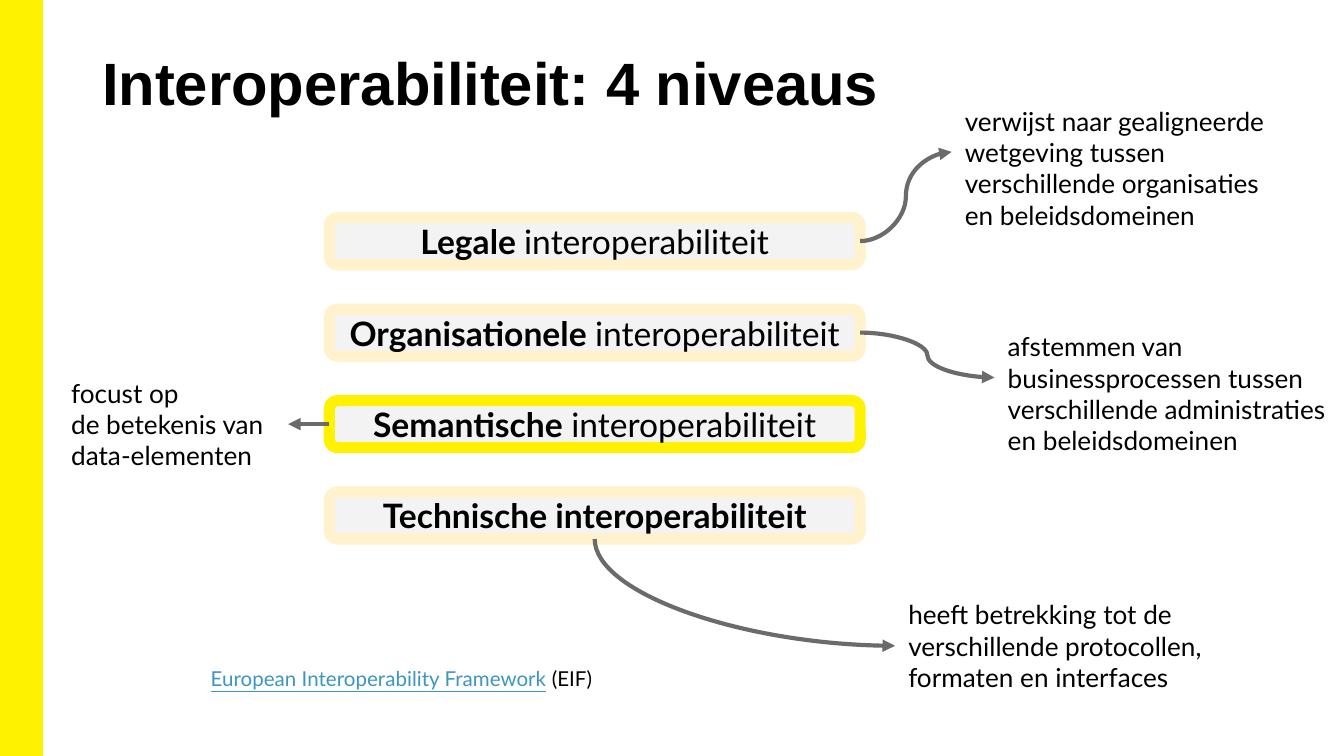
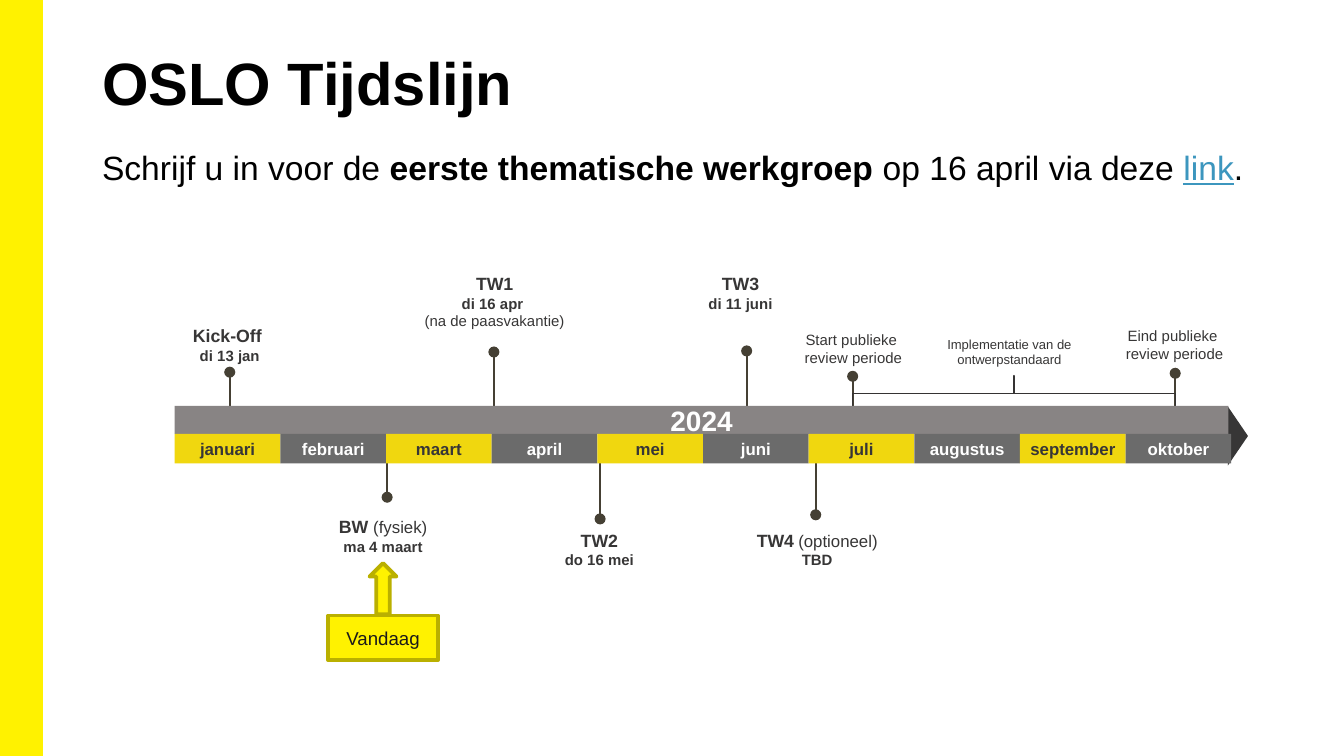
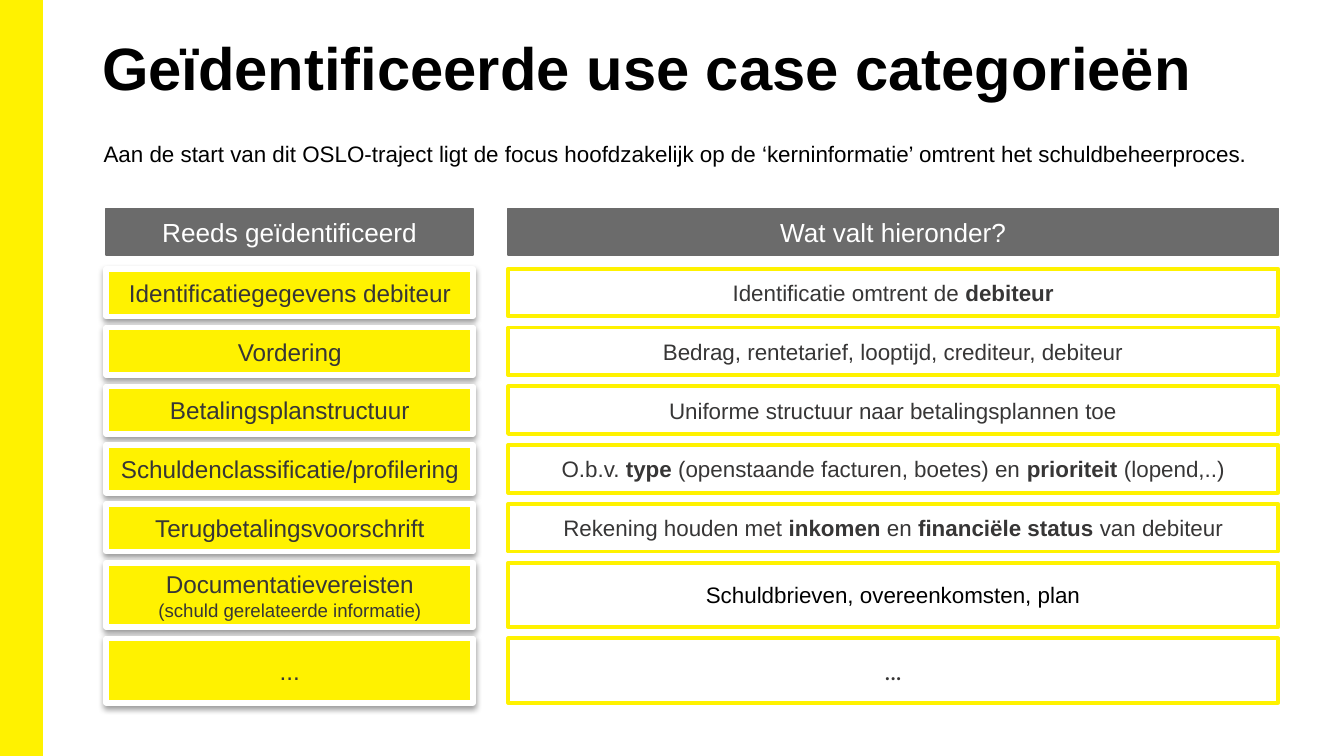
from dataclasses import dataclass, replace
from typing import NamedTuple, Optional, Sequence, Union

from lxml import etree
from pptx import Presentation
from pptx.dml.color import RGBColor
from pptx.enum import shapes, text
from pptx.oxml import ns
from pptx.util import Pt

Kind = shapes.MSO_SHAPE


@dataclass(frozen=True)
class Theme:
    yellow: str = "FFF200"
    cream: str = "FFF2CC"
    gold: str = "F0D70F"
    olive: str = "BAB000"
    pale: str = "F3F3F3"
    gray: str = "6B6B6B"
    year_gray: str = "888484"
    pin: str = "454034"
    brace: str = "353333"
    dark: str = "373636"
    today: str = "1B1A1A"
    black: str = "000000"
    white: str = "FFFFFF"
    link: str = "3C96BE"
    sans: str = "Arial"
    humanist: str = "Lato"
    title_size: float = 32
    lead_size: float = 18
    year_size: float = 15
    heading_size: float = 14
    category_size: float = 13
    body_size: float = 12
    source_size: float = 11
    small_size: float = 10
    event_size: float = 9.5
    month_size: float = 9
    date_size: float = 8
    remark_size: float = 7


THEME = Theme()


class Box(NamedTuple):
    left: float
    top: float
    width: float
    height: float


class Run(NamedTuple):
    """A stretch of text; None keeps the paragraph's value."""
    text: str
    bold: Optional[bool] = None
    size: Optional[float] = None
    color: Optional[str] = None
    underline: Optional[bool] = None
    font: Optional[str] = None


Line = Sequence[Union[str, Run]]


@dataclass(frozen=True)
class Style:
    size: float
    font: str = THEME.sans
    color: str = THEME.black
    bold: bool = False
    centered: bool = False
    middle: bool = False
    insets: tuple = (7.2, 7.2, 7.2, 7.2)
    line_spacing: Optional[float] = None


TITLE = Style(THEME.title_size, bold=True, insets=(5, 3, 5, 3))
LEAD = Style(THEME.lead_size, insets=(5, 3, 5, 3))
INTRO = Style(THEME.body_size, insets=(6.5, 3, 6.5, 3), line_spacing=1.05)
LEVEL = Style(THEME.lead_size, THEME.humanist, centered=True, middle=True)
NOTE = Style(THEME.heading_size, THEME.humanist)
SOURCE = Style(THEME.source_size, THEME.humanist)
EVENT = Style(THEME.date_size, color=THEME.dark, centered=True, insets=(0, 0, 0, 0))
MONTH = Style(THEME.month_size, color=THEME.dark, bold=True, centered=True, middle=True,
              insets=(2, 2, 2, 2))
YEAR = Style(THEME.year_size, color=THEME.white, bold=True, centered=True, middle=True,
             insets=(7.2, 3.6, 7.2, 3.6))
TODAY = replace(YEAR, size=THEME.small_size, color=THEME.today, bold=False)
HEADING = Style(THEME.heading_size, color=THEME.white, centered=True, middle=True)
CATEGORY = replace(HEADING, size=THEME.category_size, color=THEME.dark)
DETAIL = replace(CATEGORY, size=THEME.body_size)


def rgb(color: str) -> RGBColor:
    return RGBColor.from_string(color)


def points(values: Sequence[float]) -> list:
    return [Pt(value) for value in values]


def write(shape, lines: Sequence[Line], style: Style) -> None:
    frame = shape.text_frame
    frame.word_wrap = True
    frame.margin_left, frame.margin_top, frame.margin_right, frame.margin_bottom = points(style.insets)
    frame.vertical_anchor = text.MSO_ANCHOR.MIDDLE if style.middle else text.MSO_ANCHOR.TOP
    for index, line in enumerate(lines):
        paragraph = frame.add_paragraph() if index else frame.paragraphs[0]
        paragraph.alignment = text.PP_ALIGN.CENTER if style.centered else text.PP_ALIGN.LEFT
        if style.line_spacing:
            paragraph.line_spacing = style.line_spacing
        font = paragraph.font
        font.name, font.size, font.bold = style.font, Pt(style.size), style.bold
        font.color.rgb = rgb(style.color)
        for part in line:
            add_run(paragraph, Run(part) if isinstance(part, str) else part)


def add_run(paragraph, part: Run) -> None:
    for index, piece in enumerate(part.text.split("\n")):
        if index:
            paragraph.add_line_break()
        run = paragraph.add_run()
        run.text = piece
        if part.bold is not None:
            run.font.bold = part.bold
        if part.size:
            run.font.size = Pt(part.size)
        if part.color:
            run.font.color.rgb = rgb(part.color)
        if part.underline:
            run.font.underline = True
        if part.font:
            run.font.name = part.font


def add_text(slide, box: Box, lines: Sequence[Line], style: Style):
    shape = slide.shapes.add_textbox(*points(box))
    write(shape, lines, style)
    return shape


def add_block(slide, box: Box, fill: Optional[str], line: Optional[str] = None,
              weight: float = 1, kind=Kind.RECTANGLE):
    shape = slide.shapes.add_shape(kind, *points(box))
    shape.shadow.inherit = False
    if fill:
        shape.fill.solid()
        shape.fill.fore_color.rgb = rgb(fill)
    else:
        shape.fill.background()
    if line:
        shape.line.color.rgb = rgb(line)
        shape.line.width = Pt(weight)
    else:
        shape.line.fill.background()
    return shape


def drop_shadow(shape) -> None:
    effects = shape._element.spPr.find(ns.qn("a:effectLst"))
    shadow = etree.SubElement(effects, ns.qn("a:outerShdw"), blurRad=str(Pt(3.1)),
                              dist=str(Pt(1.6)), dir="5400000", algn="t", rotWithShape="0")
    color = etree.SubElement(shadow, ns.qn("a:srgbClr"), val=THEME.black)
    etree.SubElement(color, ns.qn("a:alpha"), val="38000")


def style_connector(connector, color: str, weight: float, end: str, shape: str) -> None:
    """Colour the line and put a marker at its headEnd or tailEnd."""
    connector.line.color.rgb = rgb(color)
    connector.line.width = Pt(weight)
    etree.SubElement(connector.line._get_or_add_ln(), ns.qn(f"a:{end}"), type=shape)
    etree.SubElement(connector._element.spPr, ns.qn("a:effectLst"))


def add_slide(presentation, title: str, top: float, width: float):
    slide = presentation.slides.add_slide(presentation.slide_layouts[6])
    add_block(slide, Box(0, 0, 22.5, 405), THEME.yellow, THEME.yellow)
    add_text(slide, Box(49.7, top, width, 58.3), [[title]], TITLE)
    return slide


# Slide 1

RIGHT, BOTTOM, LEFT = 3, 2, 1


class Level(NamedTuple):
    label: Line
    note: Sequence[Line]
    note_box: Box
    side: int
    border: str = THEME.cream


LEVELS = [
    Level([Run("Legale ", True), "interoperabiliteit"],
          [["verwijst naar gealigneerde wetgeving tussen"],
           ["verschillende organisaties en beleidsdomeinen"]],
          Box(509.8, 49, 187.2, 64.8), RIGHT),
    Level([Run("Organisationele ", True), "interoperabiliteit"],
          [["afstemmen van businessprocessen tussen verschillende administraties en beleidsdomeinen"]],
          Box(532.8, 169.9, 187.2, 64.8), RIGHT),
    Level([Run("Semantische", True), " interoperabiliteit"],
          [["focust op"], ["de betekenis van data-elementen"]],
          Box(31, 194.8, 123.4, 64.8), LEFT, THEME.yellow),
    Level([Run("Technische interoperabiliteit", True)],
          [["heeft betrekking tot de"], ["verschillende protocollen, formaten en interfaces"]],
          Box(479.5, 313.6, 175, 64.8), BOTTOM),
]


def join(slide, block, note, side: int):
    """Connect a level sideways to its note."""
    kind = shapes.MSO_CONNECTOR.CURVE if side == RIGHT else shapes.MSO_CONNECTOR.STRAIGHT
    connector = slide.shapes.add_connector(kind, 0, 0, 0, 0)
    connector.begin_connect(block, side)
    connector.end_connect(note, LEFT if side == RIGHT else RIGHT)
    return connector


def bend_down(slide, block, note):
    """Quarter curve from the bottom of a level to the left side of its note."""
    start_x, start_y = block.left + block.width // 2, block.top + block.height
    end_x, end_y = note.left, note.top + note.height // 2
    middle_x, middle_y = (start_x + end_x) // 2, (start_y + end_y) // 2
    half_width, half_height = (end_y - start_y) // 2, (end_x - start_x) // 2
    connector = slide.shapes.add_connector(
        shapes.MSO_CONNECTOR.CURVE, middle_x + half_width, middle_y - half_height,
        middle_x - half_width, middle_y + half_height)
    properties = connector._element.spPr
    properties.find(ns.qn("a:xfrm")).set("rot", str(270 * 60000))
    properties.find(ns.qn("a:prstGeom")).set("prst", "curvedConnector2")
    return connector


def build_levels(presentation) -> None:
    slide = add_slide(presentation, "Interoperabiliteit: 4 niveaus", 21.6, 466.6)
    for index, level in enumerate(LEVELS):
        block = add_block(slide, Box(176.4, 116.6 + 49 * index, 284.4, 25.2), THEME.pale,
                          level.border, 6, Kind.ROUNDED_RECTANGLE)
        write(block, [level.label], LEVEL)
        note = add_text(slide, level.note_box, level.note, NOTE)
        if level.side == BOTTOM:
            connector = bend_down(slide, block, note)
        else:
            connector = join(slide, block, note, level.side)
        style_connector(connector, THEME.gray, 2.25, "tailEnd", "triangle")
    source = Run("European Interoperability Framework", color=THEME.link, underline=True)
    add_text(slide, Box(105.8, 350, 269.3, 49.7), [[source, " (EIF)"]], SOURCE)


# Slide 2

MONTHS = ["januari", "februari", "maart", "april", "mei",
          "juni", "juli", "augustus", "september", "oktober"]
MONTH_WIDTH = 56.6
YEAR_BAR = Box(93.6, 217.4, 564.5, 15.1)
MONTH_TOP = YEAR_BAR.top + YEAR_BAR.height
MONTH_HEIGHT = 15.8


class Event(NamedTuple):
    pin_x: float
    dot_y: float
    label_box: Box
    label: Sequence[Line]


def name(label: str) -> Run:
    return Run(label, True, THEME.event_size)


def date(label: str) -> Run:
    return Run(label, True)


def remark(label: str) -> Run:
    return Run(label, size=THEME.month_size)


EVENTS = [
    Event(123.1, 199.4, Box(84.2, 174.2, 77.8, 26.6), [[name("Kick-Off ")], [date("di 13 jan")]]),
    Event(207.4, 266.4, Box(166.3, 276.5, 77.8, 58.3),
          [[name("BW "), remark("(fysiek)")], [date("ma 4 maart")]]),
    Event(264.6, 188.6, Box(222.5, 146.2, 85, 43.2),
          [[name("TW1")], [date("di 16 apr ")], ["(na de paasvakantie)"]]),
    Event(321.5, 278, Box(282.2, 283.7, 77.8, 44), [[name("TW2")], [date("do 16 mei")]]),
    Event(400, 188, Box(357.8, 146.2, 77.8, 26.6), [[name("TW3")], [date("di 11 juni")]]),
    Event(437, 275.8, Box(398.9, 283.7, 77.8, 24.5),
          [[name("TW4"), " ", remark("(optioneel)")], [date("TBD")]]),
    Event(456.8, 201.6, Box(418.3, 177.1, 77.8, 24.5), [["Start publieke \nreview periode"]]),
    Event(629.6, 200, Box(590.4, 175, 77.8, 26.6), [["Eind publieke \nreview periode"]]),
]


def add_event(slide, event: Event) -> None:
    below = event.dot_y > MONTH_TOP
    bar_y = MONTH_TOP + MONTH_HEIGHT if below else MONTH_TOP
    pin = slide.shapes.add_connector(shapes.MSO_CONNECTOR.STRAIGHT, Pt(event.pin_x), Pt(event.dot_y),
                                     Pt(event.pin_x), Pt(bar_y))
    style_connector(pin, THEME.pin, 1, "headEnd", "oval")
    add_text(slide, event.label_box, event.label, EVENT)


def build_timeline(presentation) -> None:
    slide = add_slide(presentation, "OSLO Tijdslijn", 21.6, 620.6)
    add_text(slide, Box(49.7, 75.6, 648.7, 77), [[
        "Schrijf u in voor de ", Run("eerste thematische werkgroep", True),
        " op 16 april via deze ", Run("link", color=THEME.link, underline=True), "."]], LEAD)
    for event in EVENTS:
        add_event(slide, event)

    tip = add_block(slide, Box(647.3, 228.2, 31.7, 10.8), THEME.dark, kind=Kind.ISOSCELES_TRIANGLE)
    tip.rotation = 90
    brace = add_block(slide, Box(533.5, 124.6, 19.4, 172.8), None, THEME.brace, 0.75, Kind.LEFT_BRACE)
    brace.rotation = 90
    brace.adjustments[0], brace.adjustments[1] = 0, 0.5
    add_text(slide, Box(488.9, 180, 103.7, 26.6), [["Implementatie van de ontwerpstandaard"]],
             replace(EVENT, size=THEME.remark_size))

    write(add_block(slide, YEAR_BAR, THEME.year_gray), [["2024"]], YEAR)
    for index, month in enumerate(MONTHS):
        fill, color = ((THEME.gold, THEME.dark), (THEME.gray, THEME.white))[index % 2]
        box = Box(YEAR_BAR.left + MONTH_WIDTH * index, MONTH_TOP, MONTH_WIDTH, MONTH_HEIGHT)
        write(add_block(slide, box, fill), [[month]], replace(MONTH, color=color))

    today = add_block(slide, Box(175.7, 329.8, 59, 23.8), THEME.yellow, THEME.olive, 2,
                      Kind.FLOWCHART_PROCESS)
    write(today, [["Vandaag"]], TODAY)
    add_block(slide, Box(198, 301.7, 14.4, 27.4), THEME.yellow, THEME.olive, 2, Kind.UP_ARROW)


# Slide 3

class Category(NamedTuple):
    label: Sequence[Line]
    detail: Line
    height: float = 25.5


CATEGORIES = [
    Category([["Identificatiegegevens debiteur"]], ["Identificatie omtrent de ", Run("debiteur", True)]),
    Category([["Vordering"]], ["Bedrag, rentetarief, looptijd, crediteur, debiteur"]),
    Category([["Betalingsplanstructuur"]], ["Uniforme structuur naar betalingsplannen toe"]),
    Category([["Schuldenclassificatie/profilering"]],
             ["O.b.v. ", Run("type ", True), "(openstaande facturen, boetes) en ",
              Run("prioriteit ", True), "(lopend,..)"]),
    Category([["Terugbetalingsvoorschrift"]],
             ["Rekening houden met ", Run("inkomen ", True), "en ",
              Run("financiële status", True), " van debiteur"]),
    Category([["Documentatievereisten"],
              [Run("(schuld gerelateerde informatie)", size=THEME.small_size)]],
             [Run("Schuldbrieven, overeenkomsten, plan", color=THEME.black)], 34.5),
    Category([["..."]], [Run("...", size=THEME.category_size, font=THEME.humanist)], 34.5),
]
LABEL_COLUMN = (56.9, 196.6)
DETAIL_COLUMN = (272.2, 412.6)
ROW_GAP = 6


def build_categories(presentation) -> None:
    slide = add_slide(presentation, "Geïdentificeerde use case categorieën", 13.7, 670)
    add_text(slide, Box(49, 71.3, 629.3, 41), [[
        "Aan de start van dit OSLO-traject ligt de focus hoofdzakelijk op de ‘kerninformatie’ "
        "omtrent het schuldbeheerproces."]], INTRO)
    for (left, width), heading in ((LABEL_COLUMN, "Reeds geïdentificeerd"),
                                   (DETAIL_COLUMN, "Wat valt hieronder?")):
        header = add_block(slide, Box(left, 111.6, width, 25), THEME.gray, THEME.gray, 0.75)
        write(header, [[heading]], HEADING)
    top = 144.0
    for category in CATEGORIES:
        left, width = LABEL_COLUMN
        label = add_block(slide, Box(left, top, width, category.height), THEME.yellow, THEME.white, 3)
        drop_shadow(label)
        write(label, category.label, CATEGORY)
        left, width = DETAIL_COLUMN
        detail = add_block(slide, Box(left, top, width, category.height), THEME.white, THEME.yellow, 2)
        write(detail, [category.detail], DETAIL)
        top += category.height + ROW_GAP


def main() -> None:
    presentation = Presentation()
    presentation.slide_width, presentation.slide_height = Pt(720), Pt(405)
    build_levels(presentation)
    build_timeline(presentation)
    build_categories(presentation)
    presentation.save("out.pptx")


if __name__ == "__main__":
    main()
